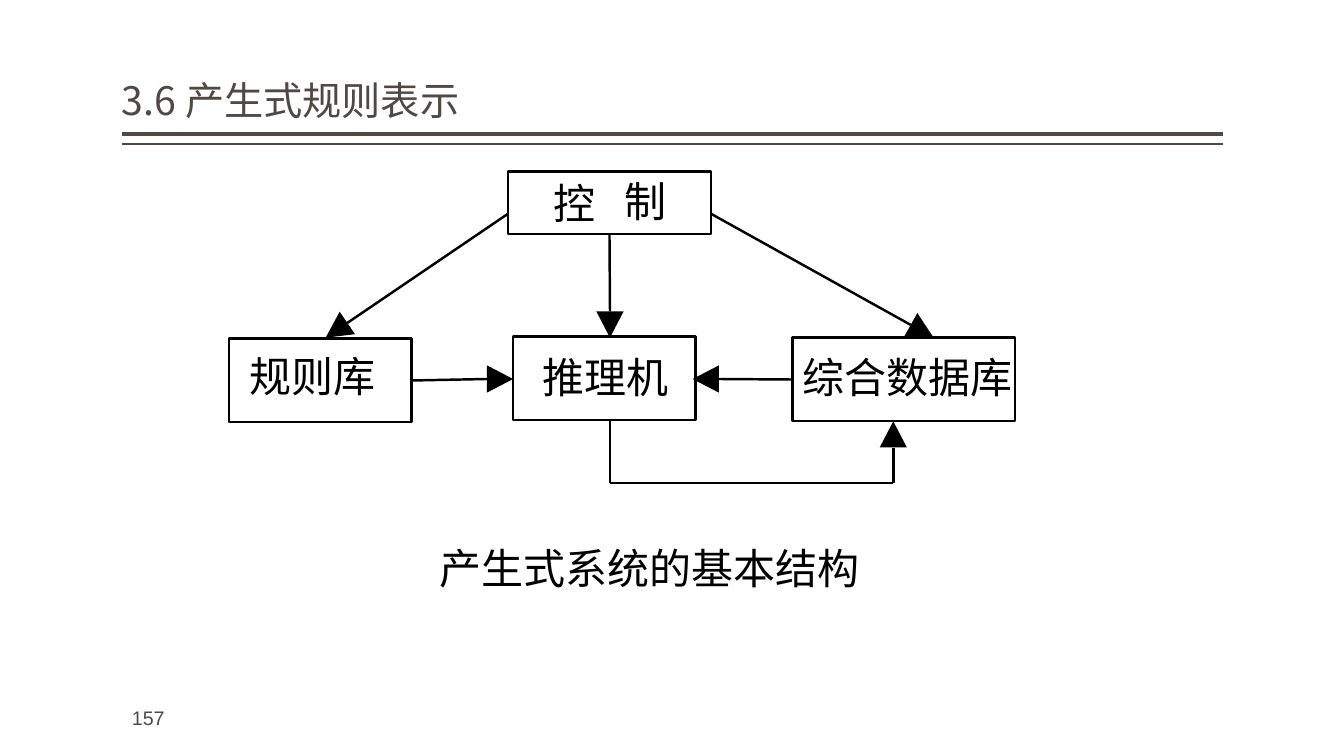
import math

from lxml import etree
from pptx import Presentation
from pptx import util as u
from pptx.dml.color import RGBColor
from pptx.enum import shapes, text
from pptx.oxml import ns

COLORS = {"heading": "514843", "ink": "000000"}
CJK_FONT = "Noto Sans CJK SC"
HEAD_LENGTH = 0.26
HEAD_WIDTH = 0.27
CHARACTER_WIDTH = 0.417
TOP, LEFT, BOTTOM, RIGHT = range(4)


def color(name):
    return RGBColor.from_string(COLORS[name])


def write(frame, words, size=30, font=CJK_FONT, ink="ink", insets=(0, 0, 0, 0),
          anchor=text.MSO_ANCHOR.TOP, wrap=False, grow=True, spacing=None):
    frame.margin_left, frame.margin_top, frame.margin_right, frame.margin_bottom = (
        u.Inches(inset) for inset in insets)
    frame.vertical_anchor = anchor
    frame.word_wrap = wrap
    frame.auto_size = (text.MSO_AUTO_SIZE.SHAPE_TO_FIT_TEXT if grow
                       else text.MSO_AUTO_SIZE.NONE)
    paragraph = frame.paragraphs[0]
    paragraph.alignment = text.PP_ALIGN.LEFT
    paragraph.line_spacing = spacing
    run = paragraph.add_run()
    run.text = words
    run.font.size = u.Pt(size)
    run.font.name = font
    run.font.color.rgb = color(ink)
    properties = run.font._element
    etree.SubElement(properties, ns.qn("a:ea"), typeface=font)


def add_label(slide, words, left, top):
    box = slide.shapes.add_textbox(
        u.Inches(left), u.Inches(top),
        u.Inches(CHARACTER_WIDTH * len(words)), u.Inches(0.5))
    write(box.text_frame, words)


def add_line(slide, start, end, width=1.75, ink="ink"):
    line = slide.shapes.add_connector(
        shapes.MSO_CONNECTOR.STRAIGHT, *(u.Inches(value) for value in (*start, *end)))
    line.line.color.rgb = color(ink)
    line.line.width = u.Pt(width)
    etree.SubElement(line._element.spPr, ns.qn("a:effectLst"))
    return line


def add_arrow(slide, start, tip, source=None, side=None):
    length = math.dist(start, tip)
    across, down = ((b - a) / length for a, b in zip(start, tip))
    base = tip[0] - HEAD_LENGTH * across, tip[1] - HEAD_LENGTH * down
    line = add_line(slide, start, base)
    if source is not None:
        line.begin_connect(source, side)
    half = HEAD_WIDTH / 2
    corners = [(base[0] + sign * half * down, base[1] - sign * half * across)
               for sign in (1, -1)]
    points = [(u.Inches(x), u.Inches(y)) for x, y in (corners[0], tip, corners[1])]
    builder = slide.shapes.build_freeform(*points[0])
    builder.add_line_segments(points[1:], close=True)
    head = builder.convert_to_shape()
    head.shadow.inherit = False
    head.fill.solid()
    head.fill.fore_color.rgb = color("ink")
    head.line.fill.background()


def add_node(slide, left, top, width, height, labels):
    node = slide.shapes.add_shape(
        shapes.MSO_SHAPE.RECTANGLE,
        *(u.Inches(value) for value in (left, top, width, height)))
    node.shadow.inherit = False
    node.fill.background()
    node.line.color.rgb = color("ink")
    node.line.width = u.Pt(1.75)
    for words, across, down in labels:
        add_label(slide, words, left + across, top + down)
    return node


def add_heading(slide, left, top, width, height):
    title = slide.shapes.title
    title.left, title.top, title.width, title.height = (
        u.Inches(value) for value in (left, top, width, height))
    write(title.text_frame, "3.6 产生式规则表示", size=28, ink="heading",
          insets=(0, 0.05, 0, 0.05), anchor=text.MSO_ANCHOR.BOTTOM,
          wrap=True, grow=False, spacing=0.9)
    for gap, weight in ((0.05, 3), (0.15, 1)):
        y = top + height + gap
        add_line(slide, (left + width, y), (left, y), weight, "heading")


def add_diagram(slide, left, top):
    row = top + 1.65
    middle = row + 0.41
    bottom = row + 0.83
    center = left + 3.78
    database_center = left + 6.59
    control = add_node(slide, left + 2.77, top, 2.01, 0.62,
                       [("控", 0.45, 0.06), ("制", 1.15, 0.04)])
    rules = add_node(slide, left, row + 0.01, 1.81, 0.83, [("规则库", 0.2, 0.12)])
    add_node(slide, left + 2.82, row - 0.01, 1.81, 0.83, [("推理机", 0.29, 0.15)])
    database = add_node(slide, left + 5.59, row, 2.21, 0.83,
                        [("综合数据库", 0.1, 0.14)])
    add_arrow(slide, (center, top + 0.62), (center, row), control, BOTTOM)
    add_arrow(slide, (left + 2.77, top + 0.42), (left + 0.96, row))
    add_arrow(slide, (left + 4.78, top + 0.42), (left + 6.99, row))
    add_arrow(slide, (left + 1.81, middle), (left + 2.82, middle), rules, RIGHT)
    add_arrow(slide, (left + 5.59, middle), (left + 4.6, middle), database, LEFT)
    turn = bottom + 0.61
    add_line(slide, (center, bottom), (center, turn))
    add_line(slide, (center, turn), (database_center, turn))
    add_arrow(slide, (database_center, turn), (database_center, bottom))
    add_label(slide, "产生式系统的基本结构", left + 2.09, top + 3.68)


def add_page_number(slide, left, top, width, height):
    box = slide.shapes.add_textbox(
        *(u.Inches(value) for value in (left, top, width, height)))
    write(box.text_frame, "157", size=14, font="Arial", ink="heading",
          insets=(0.1, 0.05, 0.1, 0.05), wrap=True, grow=False)


def main():
    presentation = Presentation()
    presentation.slide_width = u.Inches(13.33)
    presentation.slide_height = u.Inches(7.5)
    slide = presentation.slides.add_slide(presentation.slide_layouts[5])
    add_heading(slide, 1.21, 0.08, 10.92, 1.2)
    add_diagram(slide, 2.27, 1.7)
    add_page_number(slide, 1.21, 6.95, 2, 0.4)
    presentation.save("out.pptx")


if __name__ == "__main__":
    main()
